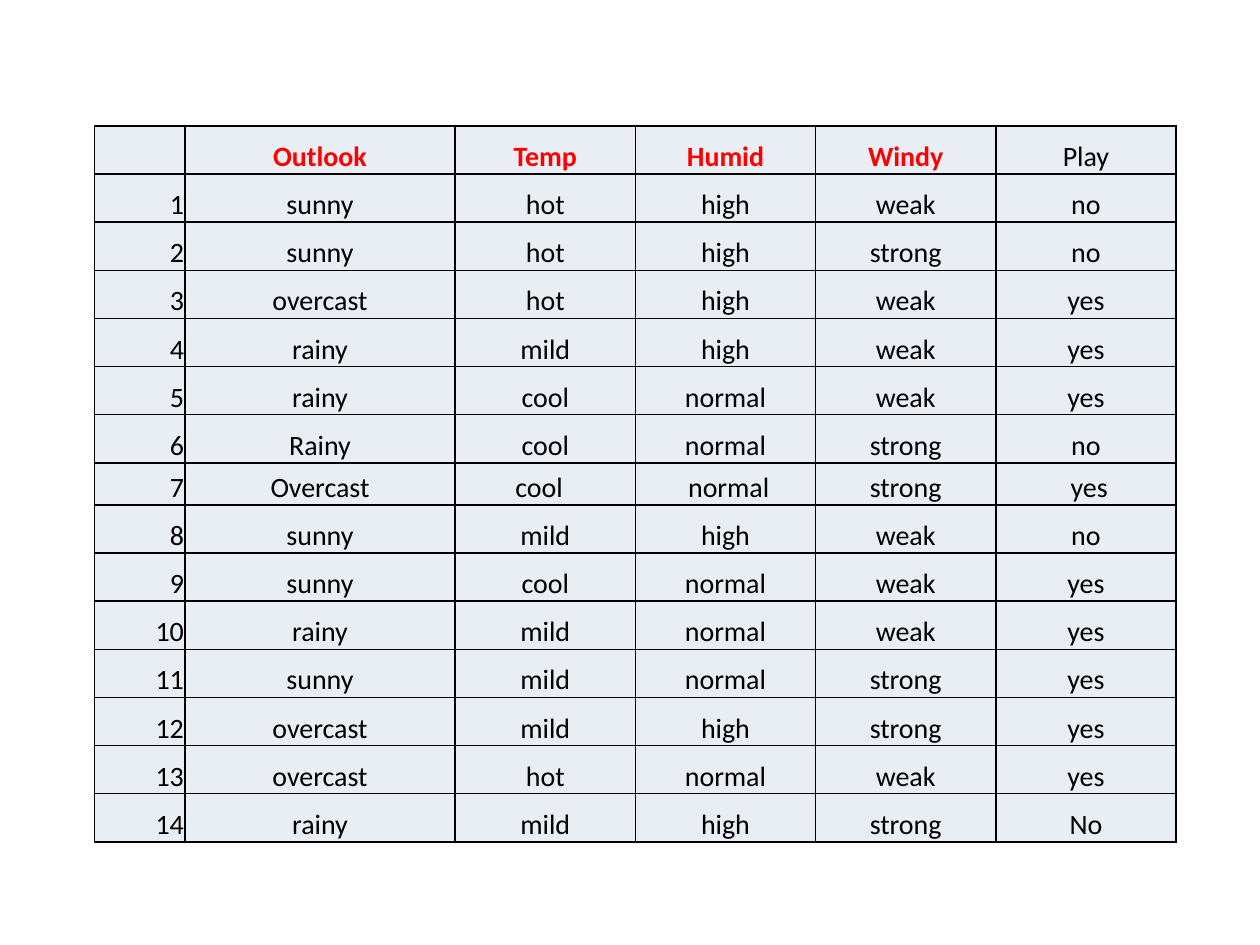
"""Build a slide with the weather and play data table."""
import lxml.etree
import pptx
import pptx.dml.color
import pptx.enum.text
import pptx.oxml.ns
import pptx.util

Cm = pptx.util.Cm
Pt = pptx.util.Pt
RGB = pptx.dml.color.RGBColor
ALIGN = pptx.enum.text.PP_ALIGN

BLACK = RGB(0, 0, 0)
RED = RGB(255, 0, 0)
PALE = RGB(0xE9, 0xED, 0xF4)

HEADS = ["", "Outlook", "Temp", "Humid", "Windy", "Play"]
DAYS = """sunny hot high weak no
sunny hot high strong no
overcast hot high weak yes
rainy mild high weak yes
rainy cool normal weak yes
Rainy cool normal strong no
Overcast cool normal strong yes
sunny mild high weak no
sunny cool normal weak yes
rainy mild normal weak yes
sunny mild normal strong yes
overcast mild high strong yes
overcast hot normal weak yes
rainy mild high strong No"""

SHARES = [1, 3, 2, 2, 2, 2]
TALL, SHORT, SHORT_ROW = 0.97, 0.85, 7
INSET = Cm(0.02)
CELL = {
    "margin_left": INSET, "margin_top": INSET, "margin_right": INSET,
    "margin_bottom": 0,
    "vertical_anchor": pptx.enum.text.MSO_ANCHOR.BOTTOM,
}
SHIFTS = {
    (7, 2): {"margin_right": Cm(0.27)},
    (7, 3): {"margin_left": Cm(0.15)},
    (7, 5): {"margin_left": Cm(0.15)},
}
BODY = {"name": "Calibri", "size": Pt(16), "bold": False}
HEAD = {**BODY, "bold": True}


def apply(item, form):
    """Set each format value on an item."""
    for key, value in form.items():
        setattr(item, key, value)


def edge(cell):
    """Draw a thin black line on all four sides of a cell."""
    props = cell._tc.get_or_add_tcPr()
    for side in ("a:lnL", "a:lnR", "a:lnT", "a:lnB"):
        line = lxml.etree.SubElement(
            props, pptx.oxml.ns.qn(side), w=str(Pt(1)))
        fill = lxml.etree.SubElement(line, pptx.oxml.ns.qn("a:solidFill"))
        lxml.etree.SubElement(
            fill, pptx.oxml.ns.qn("a:srgbClr"), val=str(BLACK))


def write(cell, text, align, form, tint):
    """Put one styled line of text in a cell."""
    para = cell.text_frame.paragraphs[0]
    para.alignment = align
    if text:
        run = para.add_run()
        run.text = text
        apply(run.font, form)
        run.font.color.rgb = tint


def grid(slide, left, top, width):
    """Place the data table in a box of the given width in centimetres."""
    rows = [HEADS]
    for num, line in enumerate(DAYS.splitlines(), 1):
        rows.append([str(num)] + line.split())
    highs = [SHORT if r == SHORT_ROW else TALL for r in range(len(rows))]
    table = slide.shapes.add_table(
        len(rows), len(HEADS), Cm(left), Cm(top),
        Cm(width), Cm(sum(highs))).table
    apply(table, {"first_row": False, "horz_banding": False})
    for col, share in zip(table.columns, SHARES):
        col.width = Cm(width * share / sum(SHARES))
    for r, (row, high) in enumerate(zip(rows, highs)):
        table.rows[r].height = Cm(high)
        for c, text in enumerate(row):
            cell = table.cell(r, c)
            apply(cell, {**CELL, **SHIFTS.get((r, c), {})})
            edge(cell)
            cell.fill.solid()
            cell.fill.fore_color.rgb = PALE
            key = r == 0 and text != "Play"
            write(cell, text, ALIGN.CENTER if c else ALIGN.RIGHT,
                  HEAD if key else BODY, RED if key else BLACK)


def main():
    """Build and save the slide."""
    deck = pptx.Presentation()
    apply(deck, {"slide_width": Cm(25.4), "slide_height": Cm(19.05)})
    slide = deck.slides.add_slide(deck.slide_layouts[6])
    grid(slide, 1.91, 2.54, 21.8)
    deck.save("out.pptx")


if __name__ == "__main__":
    main()
